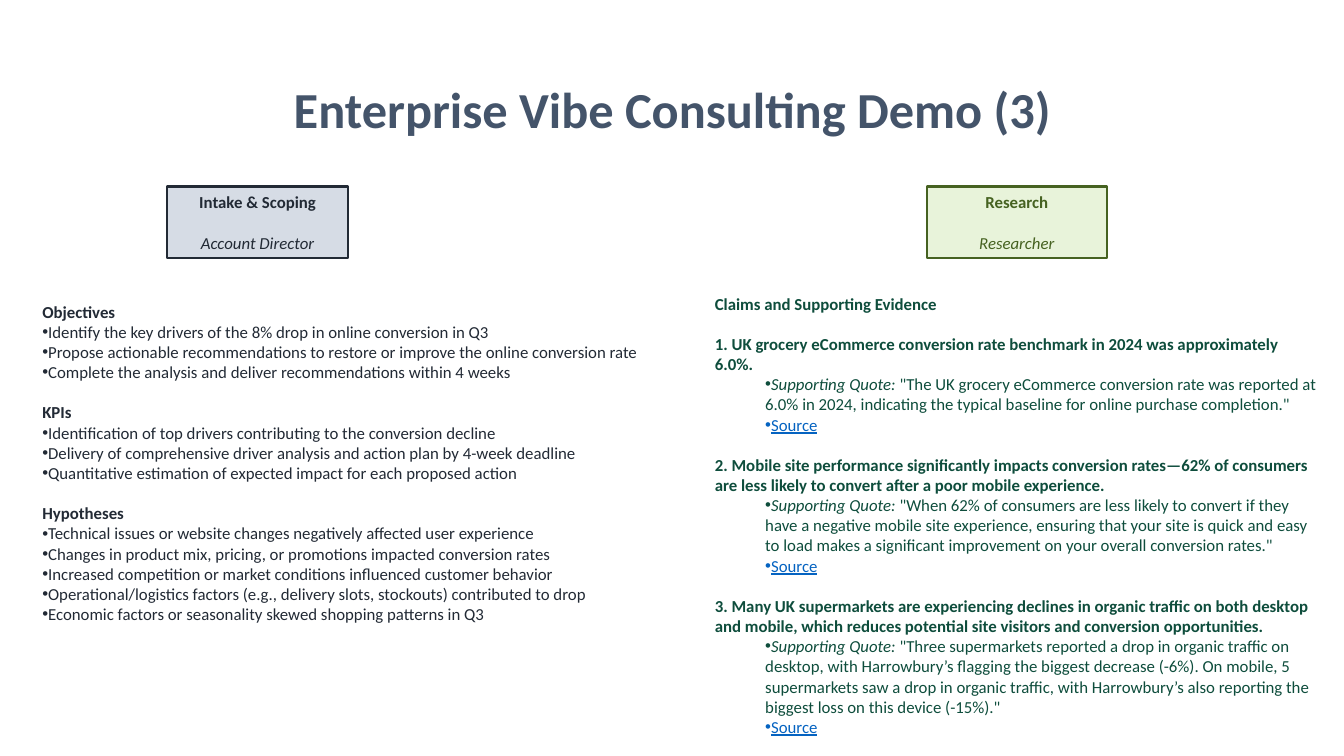
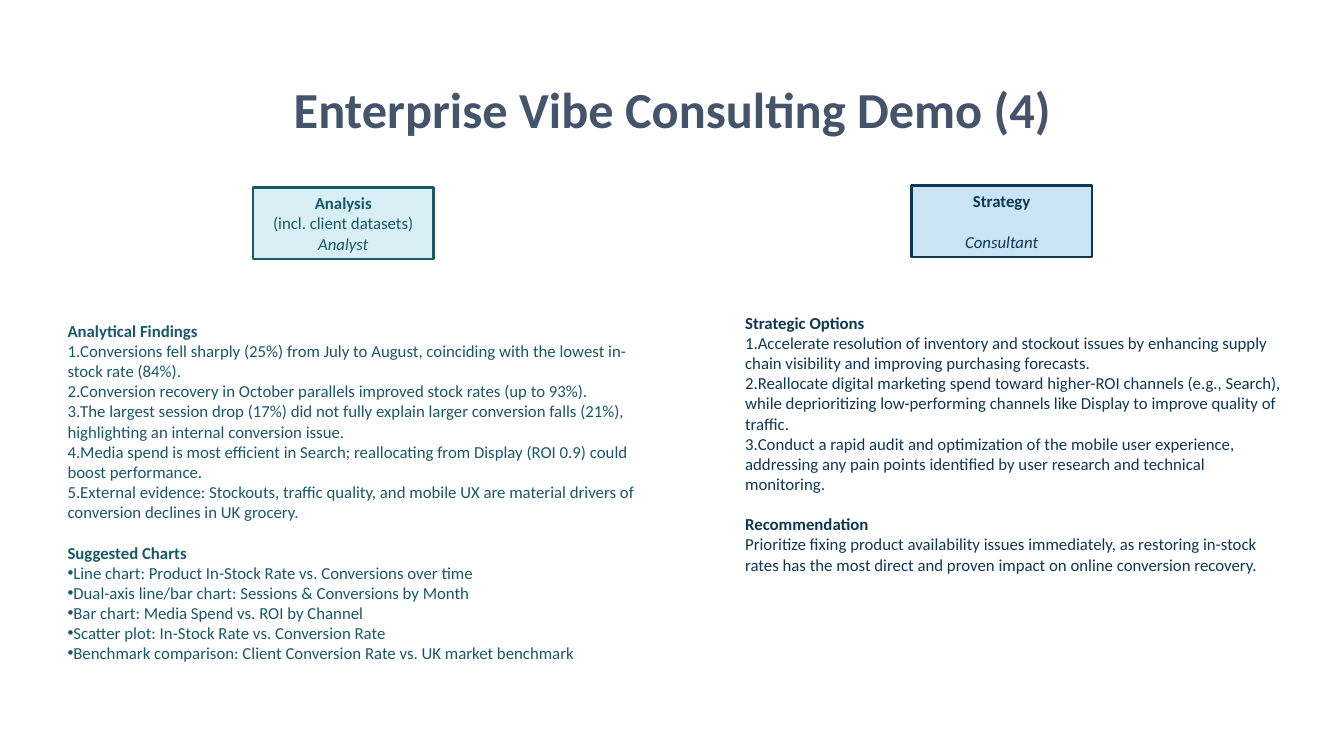
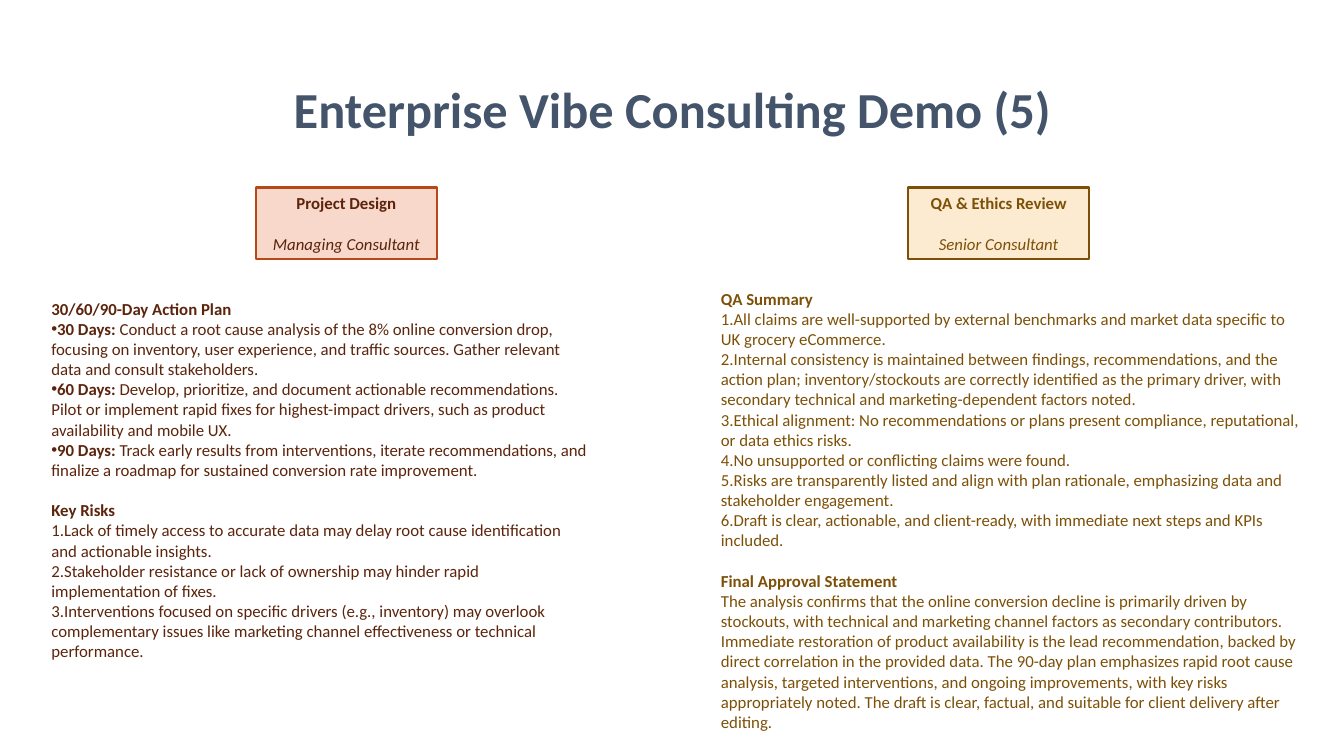
from dataclasses import dataclass

from lxml import etree
from pptx import Presentation
from pptx import util as u
from pptx.dml.color import RGBColor
from pptx.enum import shapes, text
from pptx.oxml.ns import qn


@dataclass(frozen=True)
class Theme:
    """Colours, type sizes and gaps shared by all slides."""
    font: str = "Calibri"
    title_colour: str = "44546A"
    link_colour: str = "0563C1"
    title_size: float = 36
    body_size: float = 12
    line_gap: float = 14.4
    outline: float = 1.5


@dataclass(frozen=True)
class Role:
    """One consulting role: its tag and the colours around it."""
    name: str
    person: str
    fill: str
    outline: str
    ink: str
    note: str = ""


@dataclass(frozen=True)
class Line:
    """One paragraph: styled spans, list marker, number, indent and gap."""
    spans: list
    marker: str = ""
    number: int = 1
    indent: float = 0
    gap: bool = False


THEME = Theme()


def place(left, top, width, height):
    """Turn a box in inches into lengths."""
    return [u.Inches(value) for value in (left, top, width, height)]


def style_span(span, size, colour, style=""):
    """Set the font of a run; the style names bold, italic or link."""
    font = span.font
    font.name, font.size = THEME.font, u.Pt(size)
    font.bold = style == "bold"
    font.italic = style == "italic"
    font.underline = style == "link"
    font.color.rgb = RGBColor.from_string(THEME.link_colour if style == "link" else colour)


def set_marker(para, line):
    """Add the list marker and left margin of a line."""
    props = para._p.get_or_add_pPr()
    props.set("marL", str(u.Inches(line.indent)))
    props.set("indent", "0")
    if line.marker == "bullet":
        etree.SubElement(props, qn("a:buFont")).set("typeface", "Arial")
        etree.SubElement(props, qn("a:buChar")).set("char", "•")
    elif line.marker == "number":
        number = etree.SubElement(props, qn("a:buAutoNum"))
        number.set("type", "arabicPeriod")
        number.set("startAt", str(line.number))


def write_lines(frame, lines, colour, size=THEME.body_size, align=text.PP_ALIGN.LEFT):
    """Fill a text frame with styled lines."""
    frame.word_wrap = True
    for index, line in enumerate(lines):
        para = frame.add_paragraph() if index else frame.paragraphs[0]
        set_marker(para, line)
        para.alignment = align
        if line.gap:
            para.space_before = u.Pt(THEME.line_gap)
        for words, style in line.spans:
            span = para.add_run()
            span.text = words
            style_span(span, size, colour, style)


def add_title(page, words):
    """Place the centred slide title."""
    frame = page.shapes.add_textbox(*place(0.92, 0.39, 11.5, 1.45)).text_frame
    frame.vertical_anchor = text.MSO_ANCHOR.MIDDLE
    write_lines(frame, [Line([(words, "bold")])], THEME.title_colour,
                THEME.title_size, text.PP_ALIGN.CENTER)
    frame.paragraphs[0].line_spacing = 0.9


def add_role_tag(page, role, left, top):
    """Draw the outlined box naming a role."""
    tag = page.shapes.add_shape(shapes.MSO_SHAPE.RECTANGLE, *place(left, top, 1.79, 0.71))
    tag.shadow.inherit = False
    tag.fill.solid()
    tag.fill.fore_color.rgb = RGBColor.from_string(role.fill)
    tag.line.color.rgb = RGBColor.from_string(role.outline)
    tag.line.width = u.Pt(THEME.outline)
    frame = tag.text_frame
    frame.vertical_anchor = text.MSO_ANCHOR.MIDDLE
    lines = [Line([(role.name, "bold")])]
    if role.note:
        lines.append(Line([(role.note, "")]))
    lines.append(Line([(role.person, "italic")], gap=not role.note))
    write_lines(frame, lines, role.ink, align=text.PP_ALIGN.CENTER)


def add_body(page, box, lines, colour, inset):
    """Place a column of text, starting at an inset below the top of its box."""
    frame = page.shapes.add_textbox(*place(*box)).text_frame
    frame.margin_left = frame.margin_right = frame.margin_bottom = 0
    frame.margin_top = u.Inches(inset)
    frame.vertical_anchor = text.MSO_ANCHOR.TOP
    write_lines(frame, lines, colour)


def section_lines(*sections):
    """Turn (heading, marker, items) sections into lines."""
    lines = []
    for heading, marker, items in sections:
        lines.append(Line([(heading, "bold")], gap=bool(lines)))
        for number, item in enumerate(items, 1):
            spans = [(item, "")] if isinstance(item, str) else [(item[0], "bold"), (item[1], "")]
            lines.append(Line(spans, marker, number))
    return lines


def claim_lines(heading, claims):
    """Turn (claim, quote) pairs into numbered claims with their evidence."""
    lines = [Line([(heading, "bold")])]
    for number, (claim, quote) in enumerate(claims, 1):
        lines += [
            Line([(" " + claim, "bold")], "number", number, gap=True),
            Line([("Supporting Quote:", "italic"), (f' "{quote}"', "")], "bullet", indent=0.5),
            Line([("Source", "link")], "bullet", indent=0.5),
        ]
    return lines


INTAKE = section_lines(
    ("Objectives", "bullet", [
        "Identify the key drivers of the 8% drop in online conversion in Q3",
        "Propose actionable recommendations to restore or improve the online conversion rate",
        "Complete the analysis and deliver recommendations within 4 weeks"]),
    ("KPIs", "bullet", [
        "Identification of top drivers contributing to the conversion decline",
        "Delivery of comprehensive driver analysis and action plan by 4-week deadline",
        "Quantitative estimation of expected impact for each proposed action"]),
    ("Hypotheses", "bullet", [
        "Technical issues or website changes negatively affected user experience",
        "Changes in product mix, pricing, or promotions impacted conversion rates",
        "Increased competition or market conditions influenced customer behavior",
        "Operational/logistics factors (e.g., delivery slots, stockouts) contributed to drop",
        "Economic factors or seasonality skewed shopping patterns in Q3"]))

RESEARCH = claim_lines("Claims and Supporting Evidence", [
    ("UK grocery eCommerce conversion rate benchmark in 2024 was approximately 6.0%.",
     "The UK grocery eCommerce conversion rate was reported at 6.0% in 2024, indicating the "
     "typical baseline for online purchase completion."),
    ("Mobile site performance significantly impacts conversion rates—62% of consumers are less "
     "likely to convert after a poor mobile experience.",
     "When 62% of consumers are less likely to convert if they have a negative mobile site "
     "experience, ensuring that your site is quick and easy to load makes a significant "
     "improvement on your overall conversion rates."),
    ("Many UK supermarkets are experiencing declines in organic traffic on both desktop and "
     "mobile, which reduces potential site visitors and conversion opportunities.",
     "Three supermarkets reported a drop in organic traffic on desktop, with Harrowbury’s "
     "flagging the biggest decrease (-6%). On mobile, 5 supermarkets saw a drop in organic "
     "traffic, with Harrowbury’s also reporting the biggest loss on this device (-15%).")])

ANALYSIS = section_lines(
    ("Analytical Findings", "number", [
        "Conversions fell sharply (25%) from July to August, coinciding with the lowest "
        "in-stock rate (84%).",
        "Conversion recovery in October parallels improved stock rates (up to 93%).",
        "The largest session drop (17%) did not fully explain larger conversion falls (21%), "
        "highlighting an internal conversion issue.",
        "Media spend is most efficient in Search; reallocating from Display (ROI 0.9) could "
        "boost performance.",
        "External evidence: Stockouts, traffic quality, and mobile UX are material drivers of "
        "conversion declines in UK grocery."]),
    ("Suggested Charts", "bullet", [
        "Line chart: Product In-Stock Rate vs. Conversions over time",
        "Dual-axis line/bar chart: Sessions & Conversions by Month",
        "Bar chart: Media Spend vs. ROI by Channel",
        "Scatter plot: In-Stock Rate vs. Conversion Rate",
        "Benchmark comparison: Client Conversion Rate vs. UK market benchmark"]))

STRATEGY = section_lines(
    ("Strategic Options", "number", [
        "Accelerate resolution of inventory and stockout issues by enhancing supply chain "
        "visibility and improving purchasing forecasts.",
        "Reallocate digital marketing spend toward higher-ROI channels (e.g., Search), while "
        "deprioritizing low-performing channels like Display to improve quality of traffic.",
        "Conduct a rapid audit and optimization of the mobile user experience, addressing any "
        "pain points identified by user research and technical monitoring."]),
    ("Recommendation", "", [
        "Prioritize fixing product availability issues immediately, as restoring in-stock rates "
        "has the most direct and proven impact on online conversion recovery."]))

PROJECT = section_lines(
    ("30/60/90-Day Action Plan", "bullet", [
        ("30 Days:", " Conduct a root cause analysis of the 8% online conversion drop, focusing "
         "on inventory, user experience, and traffic sources. Gather relevant data and consult "
         "stakeholders."),
        ("60 Days:", " Develop, prioritize, and document actionable recommendations. Pilot or "
         "implement rapid fixes for highest-impact drivers, such as product availability and "
         "mobile UX."),
        ("90 Days:", " Track early results from interventions, iterate recommendations, and "
         "finalize a roadmap for sustained conversion rate improvement.")]),
    ("Key Risks", "number", [
        "Lack of timely access to accurate data may delay root cause identification and "
        "actionable insights.",
        "Stakeholder resistance or lack of ownership may hinder rapid implementation of fixes.",
        "Interventions focused on specific drivers (e.g., inventory) may overlook complementary "
        "issues like marketing channel effectiveness or technical performance."]))

REVIEW = section_lines(
    ("QA Summary", "number", [
        "All claims are well-supported by external benchmarks and market data specific to UK "
        "grocery eCommerce.",
        "Internal consistency is maintained between findings, recommendations, and the action "
        "plan; inventory/stockouts are correctly identified as the primary driver, with "
        "secondary technical and marketing-dependent factors noted.",
        "Ethical alignment: No recommendations or plans present compliance, reputational, or "
        "data ethics risks.",
        "No unsupported or conflicting claims were found.",
        "Risks are transparently listed and align with plan rationale, emphasizing data and "
        "stakeholder engagement.",
        "Draft is clear, actionable, and client-ready, with immediate next steps and KPIs "
        "included."]),
    ("Final Approval Statement", "", [
        "The analysis confirms that the online conversion decline is primarily driven by "
        "stockouts, with technical and marketing channel factors as secondary contributors. "
        "Immediate restoration of product availability is the lead recommendation, backed by "
        "direct correlation in the provided data. The 90-day plan emphasizes rapid root cause "
        "analysis, targeted interventions, and ongoing improvements, with key risks "
        "appropriately noted. The draft is clear, factual, and suitable for client delivery "
        "after editing."]))

PAGES = {
    3: [
        (Role("Intake & Scoping", "Account Director", "D6DCE5", "222A35", "222A35"),
         (1.66, 1.85), INTAKE, "222A35", (0.42, 2.88, 6, 3.52), 0.11),
        (Role("Research", "Researcher", "E8F3DA", "466221", "466221"),
         (9.19, 1.85), RESEARCH, "0E4D3C", (7.09, 2.88, 6, 4.64), 0.03),
    ],
    4: [
        (Role("Analysis", "Analyst", "D7EFF5", "195869", "195869", "(incl. client datasets)"),
         (2.51, 1.86), ANALYSIS, "195869", (0.67, 3.07, 5.76, 3.72), 0.11),
        (Role("Strategy", "Consultant", "CAE4F6", "0F3754", "0F3754"),
         (9.04, 1.84), STRATEGY, "0F3754", (7.39, 3.07, 5.39, 2.63), 0.03),
    ],
    5: [
        (Role("Project Design", "Managing Consultant", "F8D8CA", "B74919", "5C240C"),
         (2.54, 1.86), PROJECT, "5C240C", (0.51, 2.85, 5.33, 3.92), 0.11),
        (Role("QA & Ethics Review", "Senior Consultant", "FCEBD1", "7D5008", "7D5008"),
         (9.01, 1.86), REVIEW, "7D5008", (7.15, 2.75, 5.8, 4.71), 0.11),
    ],
}


def add_role_page(deck, number, columns):
    """Add a slide with a title and a tagged text column for each role."""
    page = deck.slides.add_slide(deck.slide_layouts[6])
    add_title(page, f"Enterprise Vibe Consulting Demo ({number})")
    for role, corner, lines, colour, box, inset in columns:
        add_role_tag(page, role, *corner)
        add_body(page, box, lines, colour, inset)


def main():
    """Build the deck and save it."""
    deck = Presentation()
    deck.slide_width, deck.slide_height = u.Inches(13.33), u.Inches(7.5)
    for number, columns in PAGES.items():
        add_role_page(deck, number, columns)
    deck.save("out.pptx")


if __name__ == "__main__":
    main()
